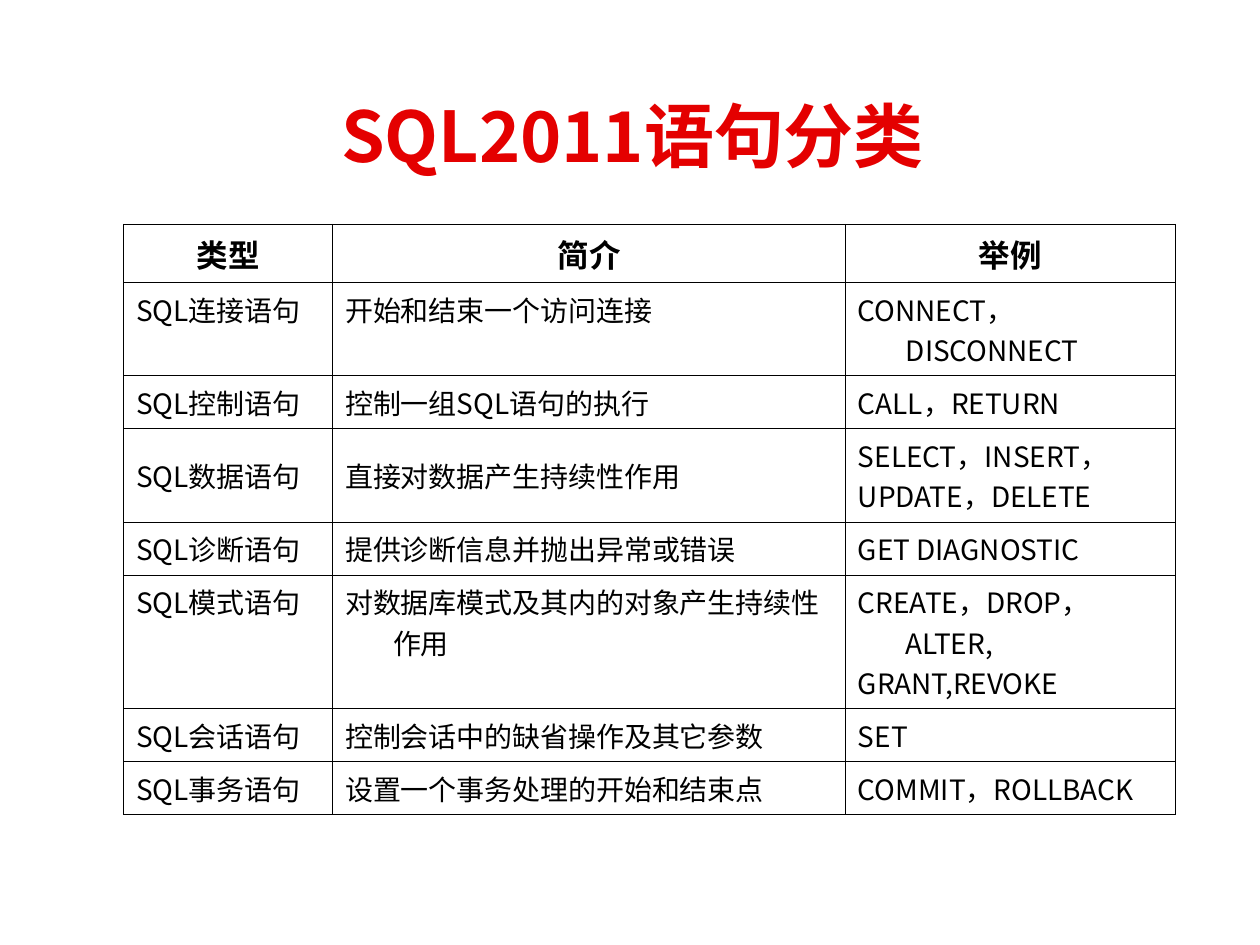
from lxml import etree
from pptx import Presentation
from pptx.dml.color import RGBColor
from pptx.enum import text
from pptx.oxml import ns
from pptx.util import Inches, Pt

FONT = "Noto Sans CJK SC"
COLORS = {"title": "E40000", "body": "000000", "border": "000000"}


def format_runs(paragraph, size, color, bold):
    for run in paragraph.runs:
        run.font.name = FONT
        run.font.size = Pt(size)
        run.font.bold = bold
        run.font.color.rgb = RGBColor.from_string(COLORS[color])
        east_asian = etree.SubElement(run.font._element, ns.qn("a:ea"))
        east_asian.set("typeface", FONT)


def add_borders(cell, width):
    properties = cell._tc.get_or_add_tcPr()
    for side in ("lnL", "lnR", "lnT", "lnB"):
        line = etree.SubElement(properties, ns.qn(f"a:{side}"), w=str(Pt(width)))
        fill = etree.SubElement(line, ns.qn("a:solidFill"))
        etree.SubElement(fill, ns.qn("a:srgbClr"), val=COLORS["border"])


prs = Presentation()
prs.slide_width, prs.slide_height = Inches(10), Inches(7.5)
slide = prs.slides.add_slide(prs.slide_layouts[5])

# Title
title = slide.shapes.title
title.left, title.top = Inches(0.35), Inches(0.44)
title.width, title.height = Inches(9.34), Inches(1.25)
title.text_frame.text = "SQL2011语句分类"
title.text_frame.vertical_anchor = text.MSO_ANCHOR.MIDDLE
heading = title.text_frame.paragraphs[0]
heading.alignment = text.PP_ALIGN.CENTER
format_runs(heading, 40, "title", True)

# Statement classes: type, description, examples
statements = [
    ("类型", "简介", "举例"),
    ("SQL连接语句", "开始和结束一个访问连接", "CONNECT，DISCONNECT"),
    ("SQL控制语句", "控制一组SQL语句的执行", "CALL，RETURN"),
    ("SQL数据语句", "直接对数据产生持续性作用", "SELECT，INSERT，\nUPDATE，DELETE"),
    ("SQL诊断语句", "提供诊断信息并抛出异常或错误", "GET DIAGNOSTIC"),
    ("SQL模式语句", "对数据库模式及其内的对象产生持续性作用",
     "CREATE，DROP，ALTER,\nGRANT,REVOKE"),
    ("SQL会话语句", "控制会话中的缺省操作及其它参数", "SET"),
    ("SQL事务语句", "设置一个事务处理的开始和结束点", "COMMIT，ROLLBACK"),
]
column_widths = [1.66, 4.07, 2.62]
row_heights = [0.46, 0.68, 0.42, 0.74, 0.42, 0.93, 0.42, 0.42]
middle_cells = {(0, 0), (0, 1), (0, 2), (3, 0), (3, 1)}

table = slide.shapes.add_table(
    len(statements), len(column_widths),
    Inches(0.98), Inches(1.78), Inches(8.35), Inches(sum(row_heights))).table
table.first_row = table.horz_banding = False
for column, width in zip(table.columns, column_widths):
    column.width = Inches(width)

for r, (statement, height) in enumerate(zip(statements, row_heights)):
    table.rows[r].height = Inches(height)
    header = r == 0
    for c, content in enumerate(statement):
        cell = table.cell(r, c)
        cell.text_frame.text = content
        if (r, c) in middle_cells:
            cell.vertical_anchor = text.MSO_ANCHOR.MIDDLE
        add_borders(cell, 0.45)
        cell.fill.background()
        for paragraph in cell.text_frame.paragraphs:
            # Hanging indent for wrapped lines
            indent = paragraph._p.get_or_add_pPr()
            indent.set("marL", str(Inches(0.38)))
            indent.set("indent", str(-Inches(0.38)))
            paragraph.alignment = text.PP_ALIGN.CENTER if header else text.PP_ALIGN.LEFT
            format_runs(paragraph, 18 if header else 16, "body", header)

prs.save("out.pptx")
